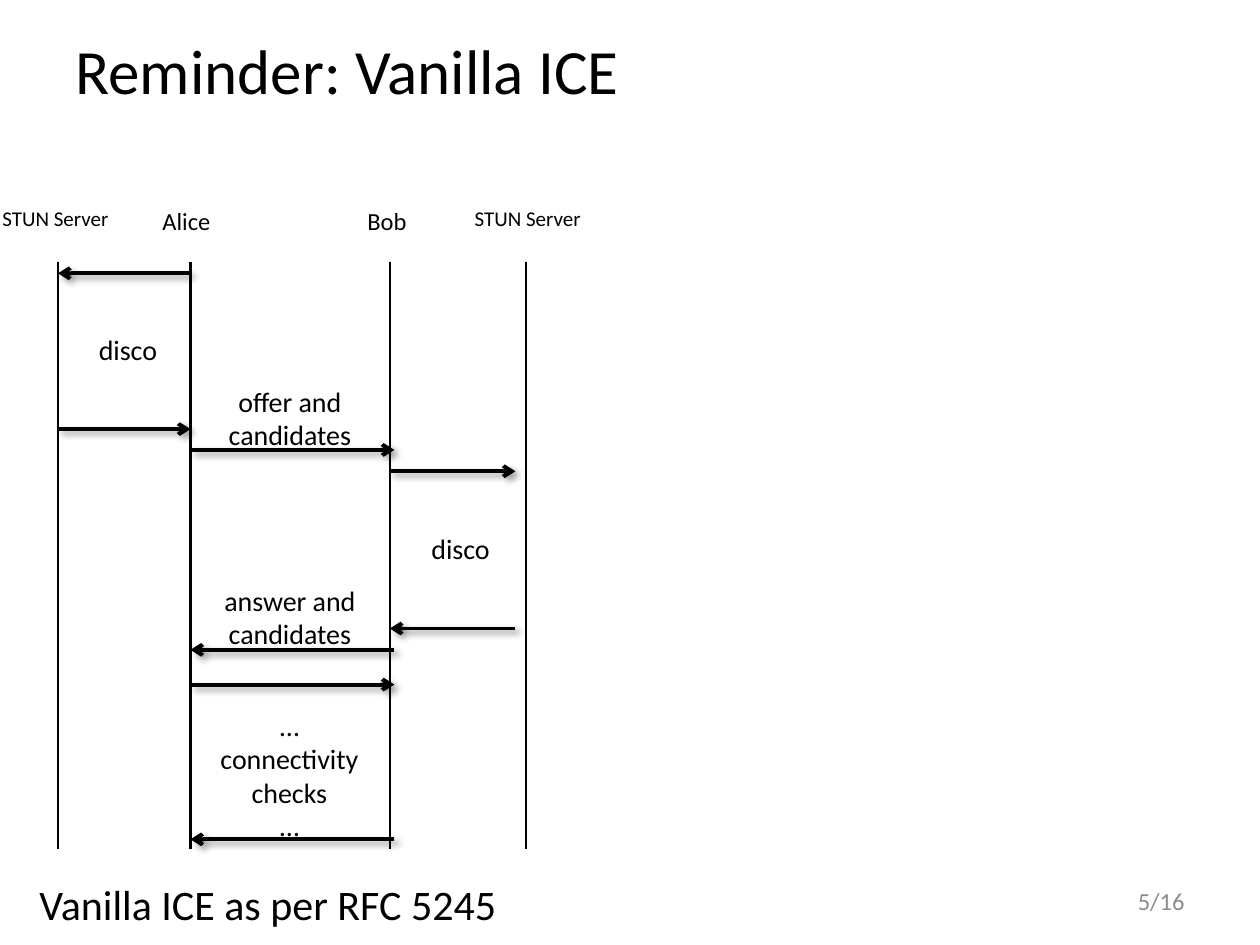
from pptx import Presentation, util as u
from pptx.dml.color import RGBColor
from pptx.enum import shapes, text
from pptx.oxml import parse_xml
from pptx.oxml.ns import nsdecls

BLACK = RGBColor(0x00, 0x00, 0x00)
WHITE = RGBColor(0xFF, 0xFF, 0xFF)
GREY = RGBColor(0x8C, 0x8C, 0x8C)
FONT = "Calibri"

# Lifeline positions and arrow ends, in cm
ALICE_SERVER, ALICE, BOB, BOB_SERVER = 1.17, 3.84, 7.86, 10.6
LIFE_TOP, LIFE_BOTTOM = 5.28, 17.12
BOB_END, SERVER_END = 7.95, 10.39

# Messages: start x, tip x, y
MESSAGES = [
    (ALICE, ALICE_SERVER, 5.51),
    (ALICE_SERVER, ALICE, 8.65),
    (ALICE, BOB_END, 9.07),
    (BOB, SERVER_END, 9.5),
    (SERVER_END, BOB, 12.67),
    (BOB_END, ALICE, 13.1),
    (ALICE, BOB_END, 13.8),
    (BOB_END, ALICE, 16.92),
]

# Labels: wording, left, top, width, height, size
LABELS = [
    ("STUN Server", -0.2, 4.02, 2.64, 1.27, 12),
    ("Alice", 2.44, 4.02, 2.64, 0.84, 14),
    ("Bob", 6.48, 4.02, 2.64, 0.84, 14),
    ("STUN Server", 9.32, 4.02, 2.64, 1.27, 12),
    ("disco", 0.74, 6.58, 3.68, 0.94, 16),
    ("offer and candidates", 4.22, 7.62, 3.25, 1.63, 16),
    ("disco", 7.57, 10.59, 3.43, 0.94, 16),
    ("answer and candidates", 4.22, 11.63, 3.25, 1.63, 16),
    ("…\vconnectivity checks\v…", 3.84, 14.15, 3.99, 3.0, 16),
]


def format_text(frame, words, size, align, color=BLACK):
    frame.text = words
    frame.word_wrap = True
    paragraph = frame.paragraphs[0]
    paragraph.alignment = align
    paragraph.font.name = FONT
    paragraph.font.size = u.Pt(size)
    paragraph.font.color.rgb = color


def add_title(slide, words):
    title = slide.shapes.title
    title.left, title.top = u.Cm(1.27), u.Cm(-0.2)
    title.width, title.height = u.Cm(22.86), u.Cm(3.18)
    title.text_frame.vertical_anchor = text.MSO_ANCHOR.MIDDLE
    format_text(title.text_frame, words, 36, text.PP_ALIGN.JUSTIFY)


def add_label(slide, words, left, top, width, height, size,
              align=text.PP_ALIGN.CENTER, color=BLACK):
    box = slide.shapes.add_textbox(
        u.Cm(left), u.Cm(top), u.Cm(width), u.Cm(height))
    format_text(box.text_frame, words, size, align, color)
    box.text_frame.margin_left = box.text_frame.margin_right = 0
    return box


def add_line(slide, x1, y1, x2, y2, width, effect=""):
    line = slide.shapes.add_connector(
        shapes.MSO_CONNECTOR.STRAIGHT, u.Cm(x1), u.Cm(y1), u.Cm(x2), u.Cm(y2))
    line.line.color.rgb = BLACK
    line.line.width = u.Pt(width)
    line._element.spPr.append(parse_xml(
        f'<a:effectLst {nsdecls("a")}>{effect}</a:effectLst>'))
    return line


def add_message(slide, start, tip, y):
    shadow = ('<a:outerShdw blurRad="50800" dist="38100" dir="2700000">'
              '<a:srgbClr val="000000"><a:alpha val="40000"/></a:srgbClr>'
              '</a:outerShdw>')
    arrow = add_line(slide, start, y, tip, y, 2.25, shadow)
    arrow.line._get_or_add_ln().append(parse_xml(
        f'<a:tailEnd {nsdecls("a")} type="arrow"/>'))


def main():
    deck = Presentation()
    deck.slide_width, deck.slide_height = u.Cm(25.4), u.Cm(19.05)
    slide = deck.slides.add_slide(deck.slide_layouts[5])
    add_title(slide, "Reminder: Vanilla ICE")

    # Sequence diagram
    for x in (ALICE_SERVER, ALICE, BOB, BOB_SERVER):
        add_line(slide, x, LIFE_BOTTOM, x, LIFE_TOP, 1.5)
    for message in MESSAGES:
        add_message(slide, *message)
    for label in LABELS:
        add_label(slide, *label)

    # Caption and page number
    caption = add_label(slide, "Vanilla ICE as per RFC 5245",
                        0, 17.58, 10.8, 1.47, 24)
    caption.fill.solid()
    caption.fill.fore_color.rgb = WHITE
    number = add_label(slide, "5/16", 18.21, 17.65, 5.67, 1.02, 14,
                       text.PP_ALIGN.RIGHT, GREY)
    number.text_frame.vertical_anchor = text.MSO_ANCHOR.MIDDLE

    deck.save("out.pptx")


if __name__ == "__main__":
    main()
